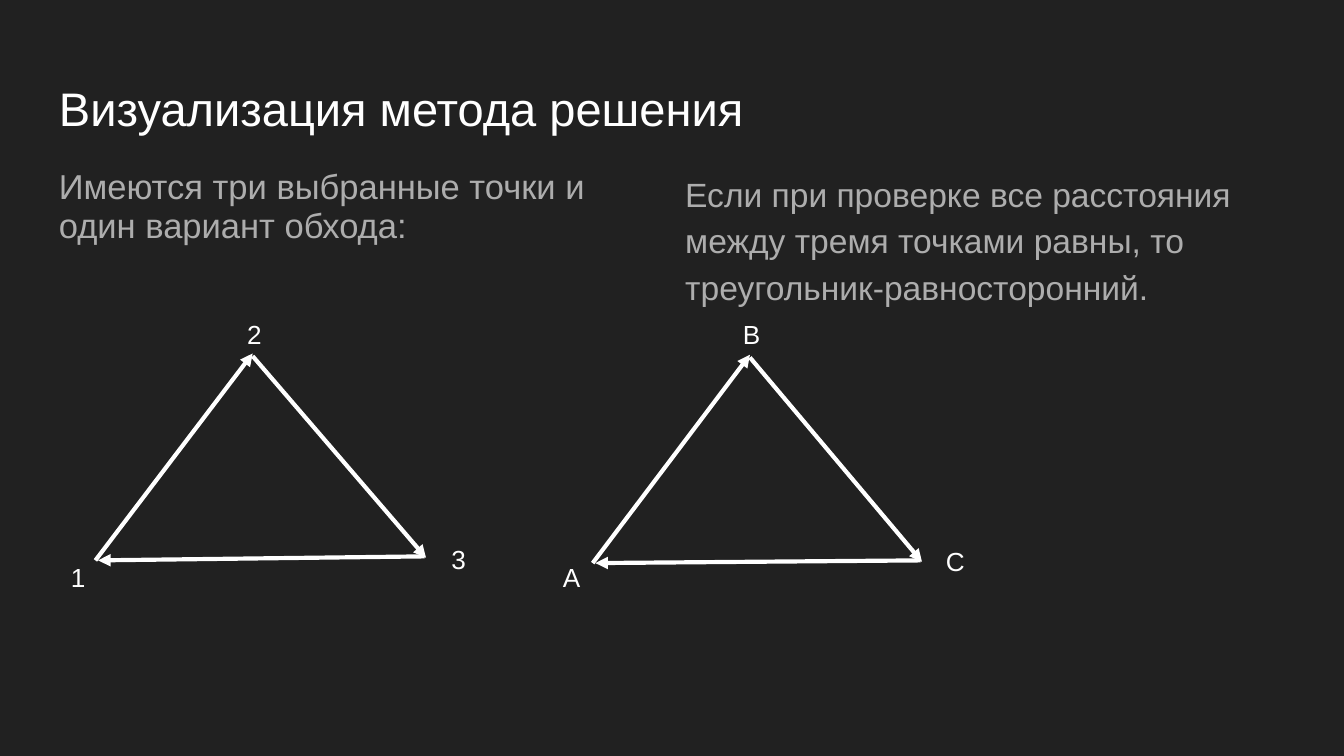
import pptx
import pptx.dml.color
import pptx.enum.shapes
import pptx.enum.text
import pptx.oxml.ns
import pptx.util
from lxml import etree

COLORS = {"background": "212121", "white": "FFFFFF", "gray": "ADADAD"}
FONT = "Arial"
SLIDE_WIDTH = 10
SLIDE_HEIGHT = SLIDE_WIDTH * 9 / 16


def rgb(name):
    return pptx.dml.color.RGBColor.from_string(COLORS[name])


def inches(values):
    return [pptx.util.Inches(value) for value in values]


def add_text(slide, box, text, size, color="white", line_spacing=1.0, space_after=0):
    shape = slide.shapes.add_textbox(*inches(box))
    frame = shape.text_frame
    frame.word_wrap = True
    frame.vertical_anchor = pptx.enum.text.MSO_ANCHOR.TOP
    frame.margin_left = frame.margin_right = pptx.util.Inches(0.1)
    frame.margin_top = frame.margin_bottom = pptx.util.Inches(0.1)
    paragraph = frame.paragraphs[0]
    paragraph.line_spacing = line_spacing
    paragraph.space_after = pptx.util.Pt(space_after)
    run = paragraph.add_run()
    run.text = text
    run.font.name = FONT
    run.font.size = pptx.util.Pt(size)
    run.font.color.rgb = rgb(color)


def add_arrow(slide, start, end):
    connector = slide.shapes.add_connector(
        pptx.enum.shapes.MSO_CONNECTOR.STRAIGHT, *inches((*start, *end)))
    connector.line.color.rgb = rgb("white")
    connector.line.width = pptx.util.Pt(2.25)
    # Arrowhead at the end, no shadow
    qn = pptx.oxml.ns.qn
    properties = connector.element.find(qn("p:spPr"))
    etree.SubElement(properties.find(qn("a:ln")), qn("a:tailEnd"), type="triangle")
    etree.SubElement(properties, qn("a:effectLst"))


def add_triangle(slide, arrows, labels):
    for start, end in arrows:
        add_arrow(slide, start, end)
    for text, left, top, width in labels:
        add_text(slide, (left, top, width, 0.44), text, 14)


def main():
    presentation = pptx.Presentation()
    presentation.slide_width, presentation.slide_height = inches(
        (SLIDE_WIDTH, SLIDE_HEIGHT))
    slide = presentation.slides.add_slide(presentation.slide_layouts[6])
    slide.background.fill.solid()
    slide.background.fill.fore_color.rgb = rgb("background")

    # Title and the two explanations
    add_text(slide, (0.34, 0.49, 9.32, 0.63), "Визуализация метода решения", 25.2)
    add_text(slide, (0.34, 1.15, 4.16, 1.09),
             "Имеются три выбранные точки и один вариант обхода:",
             18.5, "gray", line_spacing=0.95)
    add_text(slide, (5, 1.15, 4.78, 1.2),
             "Если при проверке все расстояния между тремя точками равны, "
             "то треугольник-равносторонний.",
             18, "gray", line_spacing=1.15, space_after=12)

    # Triangle with numbered points
    add_triangle(
        slide,
        [((0.71, 4.17), (1.88, 2.63)),
         ((1.88, 2.65), (3.17, 4.15)),
         ((3.16, 4.14), (0.73, 4.17))],
        [("1", 0.43, 4.08, 0.44), ("2", 1.74, 2.27, 0.53), ("3", 3.26, 3.94, 0.49)])

    # Triangle with lettered points
    add_triangle(
        slide,
        [((4.41, 4.19), (5.58, 2.64)),
         ((5.58, 2.66), (6.86, 4.18)),
         ((6.85, 4.17), (4.43, 4.19))],
        [("В", 5.43, 2.27, 0.53), ("С", 6.94, 3.96, 0.48), ("А", 4.09, 4.08, 0.49)])

    presentation.save("out.pptx")


if __name__ == "__main__":
    main()
